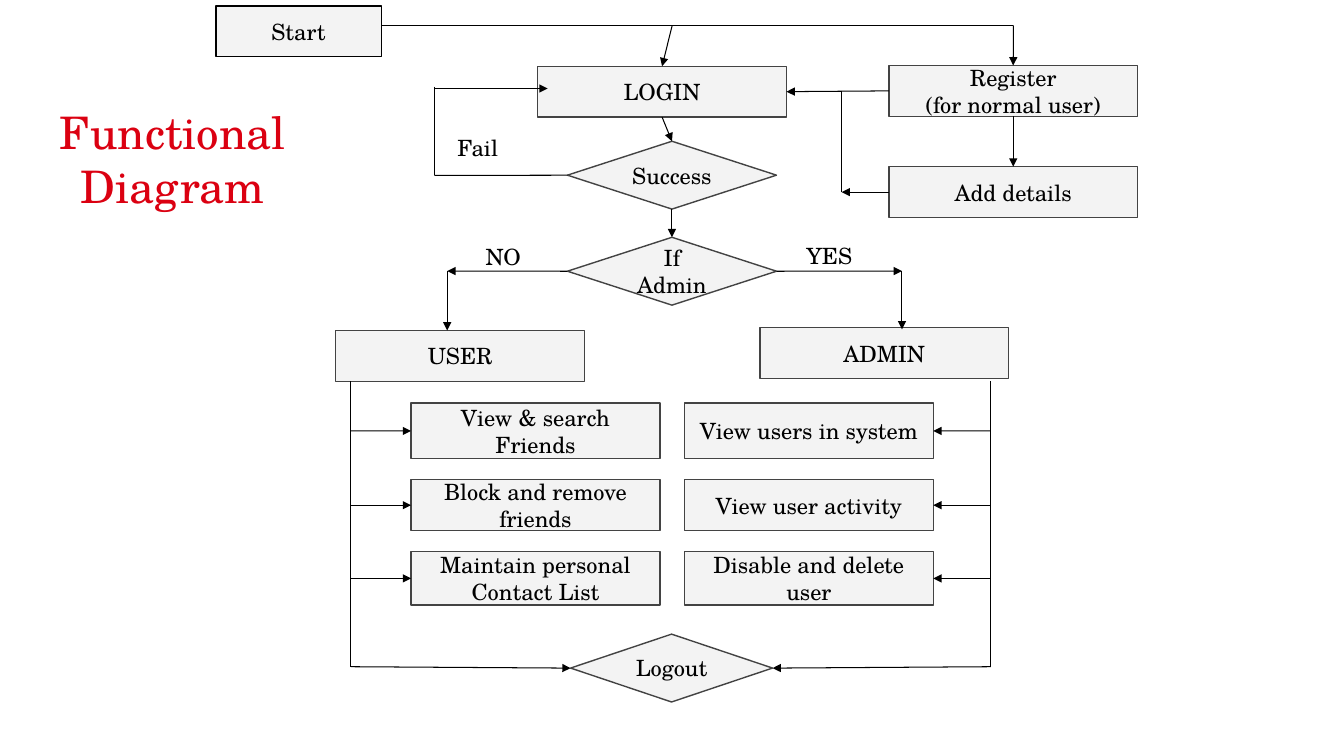
"""Build the functional diagram of login, user and admin flows."""
from lxml import etree
from pptx import Presentation
from pptx import util as u
from pptx.dml import color
from pptx.enum import shapes, text
from pptx.oxml import ns

FONT = "TeX Gyre Schola"
RECT, DIAMOND = shapes.MSO_SHAPE.RECTANGLE, shapes.MSO_SHAPE.DIAMOND
TOP, LEFT, BOTTOM, RIGHT = range(4)
CENTER = text.PP_ALIGN.CENTER


def rgb(code):
    return color.RGBColor.from_string(code)


def write(shape, words, size=16, code="000000", align=CENTER, anchor=text.MSO_ANCHOR.MIDDLE):
    frame = shape.text_frame
    frame.word_wrap = True
    frame.vertical_anchor = anchor
    frame.text = words
    for para in frame.paragraphs:
        para.alignment = align
        para.font.name = FONT
        para.font.size = u.Pt(size)
        para.font.color.rgb = rgb(code)


deck = Presentation()
deck.slide_width, deck.slide_height = u.Cm(33.87), u.Cm(19.05)
page = deck.slides.add_slide(deck.slide_layouts[6])

title = page.shapes.add_textbox(0, 0, u.Cm(8.71), u.Cm(7.98))
write(title, "Functional Diagram", 32, "DB0011")

WIDE, TALL = 6.27, 1.28
nodes = [
    ("Start", RECT, 5.44, 0.15, 4.17, TALL),
    ("LOGIN", RECT, 13.55, 1.67, WIDE, TALL),
    ("Success", DIAMOND, 14.3, 3.56, 5.27, 1.71),
    ("If Admin", DIAMOND, 14.3, 5.98, 5.27, 1.71),
    ("USER", RECT, 8.46, 8.33, WIDE, TALL),
    ("ADMIN", RECT, 19.15, 8.26, WIDE, TALL),
    ("Register\n(for normal user)", RECT, 22.4, 1.65, WIDE, TALL),
    ("Add details", RECT, 22.4, 4.2, WIDE, TALL),
    ("Logout", DIAMOND, 14.38, 15.98, 5.09, 1.71),
]
user_tasks = ["View & search Friends", "Block and remove friends", "Maintain personal Contact List"]
admin_tasks = ["View users in system", "View user activity", "Disable and delete user"]
task_rows = [(10.16, 1.4), (12.09, TALL), (13.9, 1.35)]
for left, tasks in ((10.36, user_tasks), (17.25, admin_tasks)):
    for task, (top, height) in zip(tasks, task_rows):
        nodes.append((task, RECT, left, top, WIDE, height))

boxes = {}
for words, kind, left, top, width, height in nodes:
    box = page.shapes.add_shape(kind, u.Cm(left), u.Cm(top), u.Cm(width), u.Cm(height))
    box.shadow.inherit = False
    box.fill.solid()
    box.fill.fore_color.rgb = rgb("F3F3F3")
    box.line.color.rgb = rgb("000000" if words == "Start" else "434343")
    box.line.width = u.Pt(1)
    write(box, words)
    boxes[words.split("\n")[0]] = box

USER_SPINE, ADMIN_SPINE, SPINE_END = 8.84, 24.97, 16.8
USER_DROP, ADMIN_DROP, BRANCH = 11.27, 22.73, 6.83
FAIL_X, FAIL_TOP, FAIL_BOTTOM = 10.95, 2.23, 4.42
START_Y, LOGIN_X, REGISTER_X, DETAILS_X = 0.64, 16.94, 25.54, 21.21

plain_lines = [
    ((USER_SPINE, 9.61), (USER_SPINE, SPINE_END)),
    ((ADMIN_SPINE, 9.61), (ADMIN_SPINE, SPINE_END)),
    ((9.61, START_Y), (REGISTER_X, START_Y)),
    (("Success", LEFT), (FAIL_X, FAIL_BOTTOM)),
    ((FAIL_X, 2.18), (FAIL_X, FAIL_BOTTOM)),
    ((DETAILS_X, 2.29), (DETAILS_X, 4.84)),
]
arrows = [
    ((LOGIN_X, START_Y), ("LOGIN", TOP)),
    ((REGISTER_X, START_Y), ("Register", TOP)),
    (("Register", LEFT), ("LOGIN", RIGHT)),
    (("Register", BOTTOM), ("Add details", TOP)),
    (("Add details", LEFT), (DETAILS_X, 4.84)),
    (("LOGIN", BOTTOM), ("Success", TOP)),
    ((FAIL_X, FAIL_TOP), (13.8, FAIL_TOP)),
    (("Success", BOTTOM), ("If Admin", TOP)),
    (("If Admin", LEFT), (USER_DROP, BRANCH)),
    ((USER_DROP, BRANCH), (USER_DROP, 8.33)),
    (("If Admin", RIGHT), (ADMIN_DROP, BRANCH)),
    ((ADMIN_DROP, BRANCH), (ADMIN_DROP, 8.3)),
    ((USER_SPINE, SPINE_END), ("Logout", LEFT)),
    ((ADMIN_SPINE, SPINE_END), ("Logout", RIGHT)),
]
for spine, tasks, side in ((USER_SPINE, user_tasks, LEFT), (ADMIN_SPINE, admin_tasks, RIGHT)):
    for task, (top, height) in zip(tasks, task_rows):
        arrows.append(((spine, top + height / 2), (task, side)))

for start, end in plain_lines + arrows:
    link = page.shapes.add_connector(shapes.MSO_CONNECTOR.STRAIGHT, 0, 0, 0, 0)
    if start[0] in boxes:
        link.begin_connect(boxes[start[0]], start[1])
    else:
        link.begin_x, link.begin_y = u.Cm(start[0]), u.Cm(start[1])
    if end[0] in boxes:
        link.end_connect(boxes[end[0]], end[1])
    else:
        link.end_x, link.end_y = u.Cm(end[0]), u.Cm(end[1])
    link.line.color.rgb = rgb("000000")
    link.line.width = u.Pt(0.75)
    if (start, end) in arrows:
        etree.SubElement(link.line._get_or_add_ln(), ns.qn("a:tailEnd"), type="triangle")
    etree.SubElement(link._element.spPr, ns.qn("a:effectLst"))

for words, left, top, width in (("YES", 20.07, 5.97, 2.34), ("NO", 11.99, 5.99, 1.57), ("Fail", 11.28, 3.25, 1.57)):
    label = page.shapes.add_textbox(u.Cm(left), u.Cm(top), u.Cm(width), u.Cm(0.94))
    write(label, words, align=text.PP_ALIGN.LEFT, anchor=text.MSO_ANCHOR.TOP)

deck.save("out.pptx")
